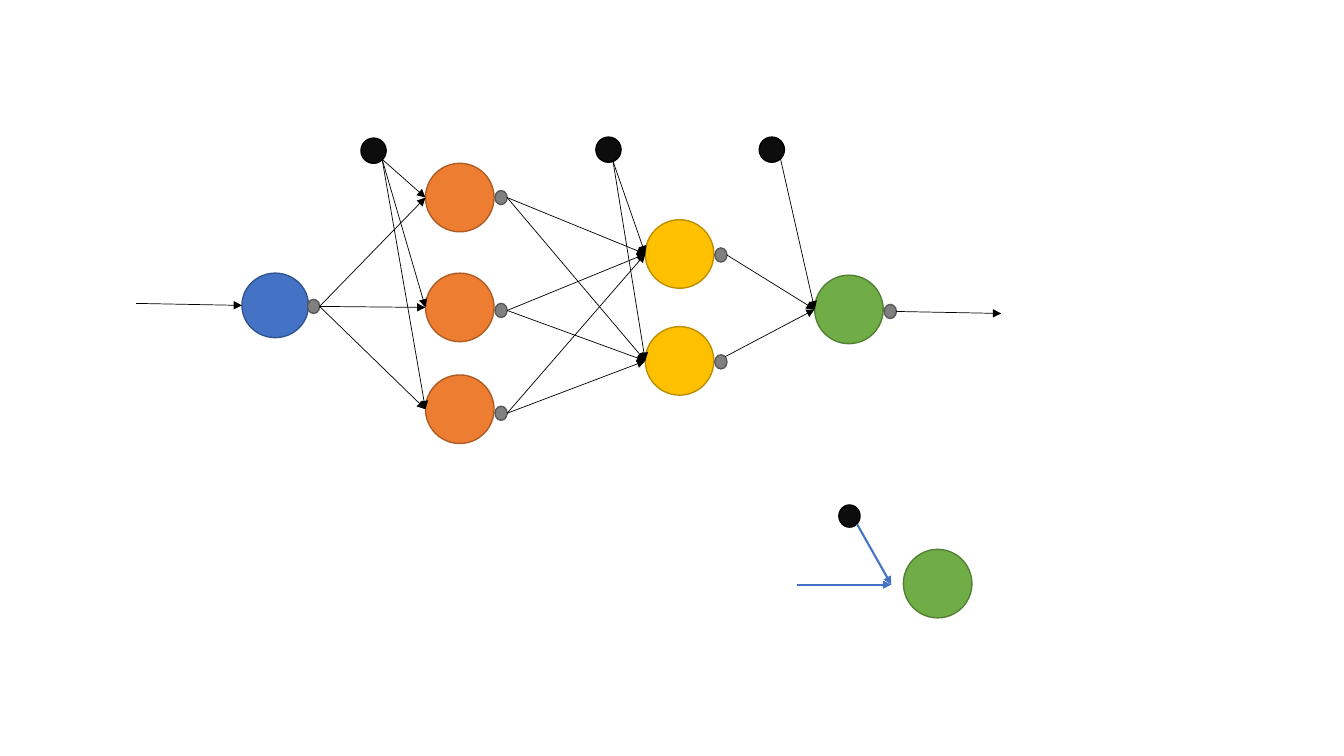
from dataclasses import dataclass

from lxml.etree import SubElement
from pptx import Presentation
from pptx.dml.color import RGBColor
from pptx.enum.shapes import MSO_CONNECTOR, MSO_SHAPE
from pptx.oxml.ns import qn
from pptx.util import Inches, Pt


@dataclass(frozen=True)
class Theme:
    """Fill and outline pairs, plus line colours and widths in points."""
    input: tuple = ("4472C4", "325491")
    first_hidden: tuple = ("ED7D31", "AF5C24")
    second_hidden: tuple = ("FFC000", "BD8E00")
    output: tuple = ("70AD47", "538035")
    port: tuple = ("808080", "595959")
    bias: tuple = ("0D0D0D", "000000")
    edge: str = "000000"
    accent: str = "4472C4"
    outline_width: float = 1
    edge_width: float = 0.5
    accent_width: float = 1.5


@dataclass(frozen=True)
class Neuron:
    """Vertical places of a circle and its port; leave is the edge start within the port."""
    top: float
    port_top: float
    leave: tuple = (0.12, 0.07)


@dataclass(frozen=True)
class Layer:
    left: float
    port_left: float
    colors: tuple
    neurons: tuple
    size: tuple = (0.68, 0.68)

    def entries(self):
        return [(self.left, neuron.top + self.size[1] / 2) for neuron in self.neurons]

    def exits(self):
        return [(self.port_left + neuron.leave[0], neuron.port_top + neuron.leave[1])
                for neuron in self.neurons]


@dataclass(frozen=True)
class Bias:
    """A bias dot and the point where its edges start."""
    spot: tuple
    start: tuple


THEME = Theme()
PORT_SIZE = (0.12, 0.14)
BIAS_SIZE = (0.25, 0.25)

# All places are in inches from the top left corner of the network's box.
LAYERS = (
    Layer(1.05, 1.7, THEME.input, (Neuron(1.35, 1.61),), (0.66, 0.64)),
    Layer(2.87, 3.56, THEME.first_hidden,
          (Neuron(0.26, 0.53), Neuron(1.35, 1.65), Neuron(2.36, 2.67))),
    Layer(5.05, 5.74, THEME.second_hidden,
          (Neuron(0.82, 1.1), Neuron(1.88, 2.16, (0.1, 0.02)))),
    Layer(6.73, 7.42, THEME.output, (Neuron(1.37, 1.66),)),
)
BIASES = (
    Bias((2.23, 0.01), (2.44, 0.22)),
    Bias((4.56, 0), (4.73, 0.24)),
    Bias((6.18, 0), (6.39, 0.21)),
)
NETWORK_INPUT = (0, 1.65)
NETWORK_OUTPUT = (8.58, 1.75)


def place(box, point):
    return [Inches(origin + offset) for origin, offset in zip(box, point)]


def add_circle(page, box, spot, size, colors):
    circle = page.shapes.add_shape(
        MSO_SHAPE.OVAL, *place(box, spot), *map(Inches, size))
    circle.shadow.inherit = False
    fill, outline = colors
    circle.fill.solid()
    circle.fill.fore_color.rgb = RGBColor.from_string(fill)
    circle.line.color.rgb = RGBColor.from_string(outline)
    circle.line.width = Pt(THEME.outline_width)


def add_arrow(page, box, start, end, color=THEME.edge, width=THEME.edge_width):
    arrow = page.shapes.add_connector(
        MSO_CONNECTOR.STRAIGHT, *place(box, start), *place(box, end))
    arrow.line.color.rgb = RGBColor.from_string(color)
    arrow.line.width = Pt(width)
    SubElement(arrow.line._get_or_add_ln(), qn("a:tailEnd"), type="triangle")
    SubElement(arrow._element.spPr, qn("a:effectLst"))


def add_network(page, box):
    """Draw the layers and biases, then the edges on top of them."""
    for layer in LAYERS:
        for neuron in layer.neurons:
            add_circle(page, box, (layer.left, neuron.top), layer.size, layer.colors)
            add_circle(page, box, (layer.port_left, neuron.port_top),
                       PORT_SIZE, THEME.port)
    for bias in BIASES:
        add_circle(page, box, bias.spot, BIAS_SIZE, THEME.bias)

    add_arrow(page, box, NETWORK_INPUT, LAYERS[0].entries()[0])
    for source, target, bias in zip(LAYERS, LAYERS[1:], BIASES):
        for start in (*source.exits(), bias.start):
            for end in target.entries():
                add_arrow(page, box, start, end)
    add_arrow(page, box, LAYERS[-1].exits()[0], NETWORK_OUTPUT)


def add_single_neuron(page, box):
    """Draw the lone neuron whose input and bias meet in front of it."""
    meeting_point = (0.94, 0.79)
    add_circle(page, box, (1.06, 0.44), (0.68, 0.68), THEME.output)
    add_circle(page, box, (0.42, 0), (0.21, 0.22), THEME.bias)
    for start in ((0, 0.79), (0.6, 0.19)):
        add_arrow(page, box, start, meeting_point, THEME.accent, THEME.accent_width)


def main():
    deck = Presentation()
    deck.slide_width, deck.slide_height = Inches(13.33), Inches(7.5)
    blank_layout = deck.slide_layouts[6]
    page = deck.slides.add_slide(blank_layout)
    add_network(page, (1.35, 1.36))
    add_single_neuron(page, (7.9, 5.01))
    deck.save("out.pptx")


if __name__ == "__main__":
    main()
